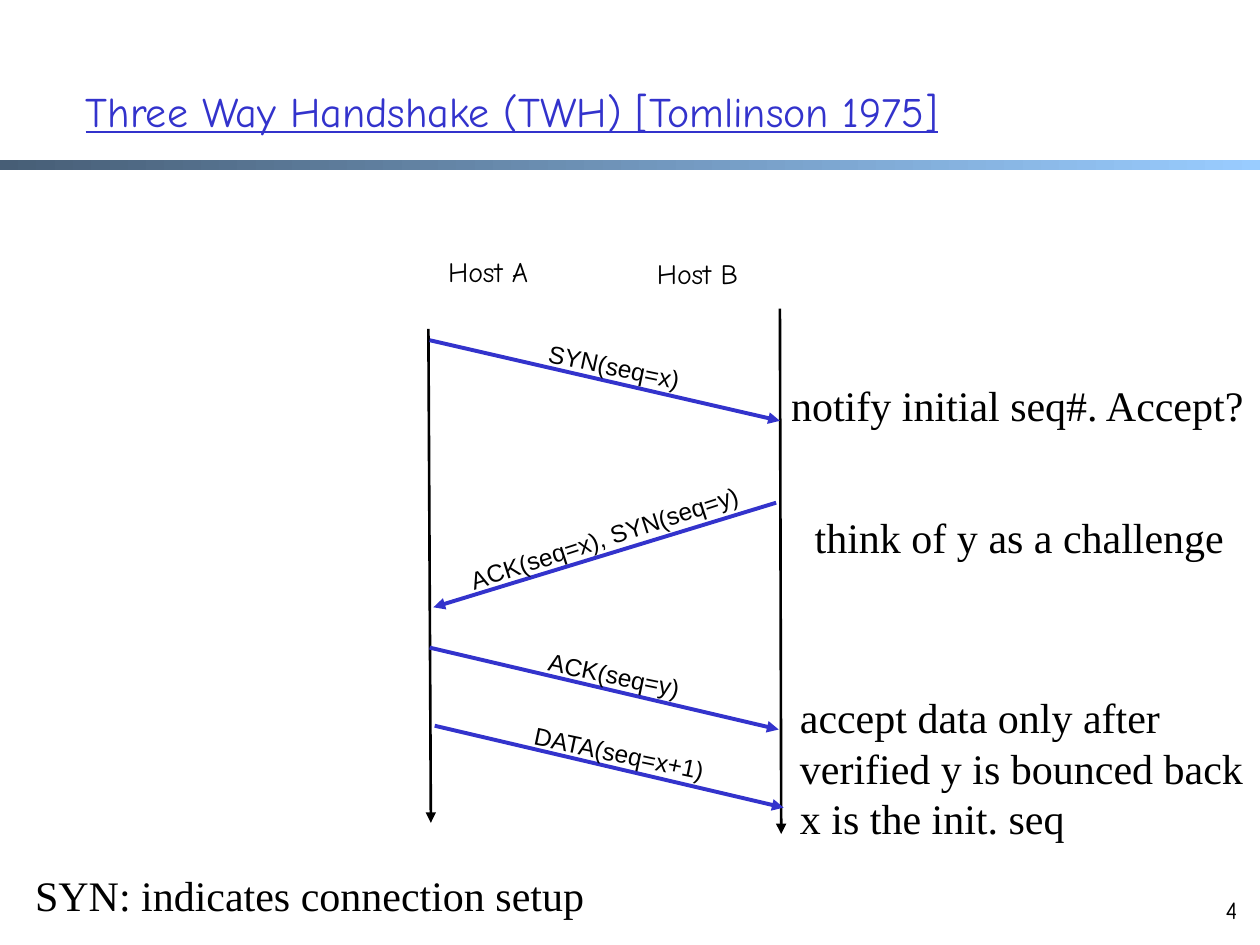
import pptx
import pptx.util
import pptx.dml.color
import pptx.enum.shapes
import pptx.enum.text
import pptx.oxml
import pptx.oxml.ns

Inches = pptx.util.Inches
Pt = pptx.util.Pt
ALIGN = pptx.enum.text.PP_ALIGN
COLORS = {"blue": "3333CC", "black": "000000", "bar_dark": "475E76", "bar_light": "99CCFF"}
HAND, SANS, SERIF = "Comic Neue", "Arial", "Times New Roman"


def rgb(name):
    return pptx.dml.color.RGBColor.from_string(COLORS[name])


def add_run(p, text, font, size, color="black"):
    r = p.add_run()
    r.text = text
    r.font.name = font
    r.font.size = Pt(size)
    r.font.color.rgb = rgb(color)
    return r


def add_title(s, text):
    sp = s.shapes.title
    sp.left, sp.top, sp.width, sp.height = map(Inches, (0.58, 0.25, 8.77, 1.25))
    tf = sp.text_frame
    tf.auto_size = pptx.enum.text.MSO_AUTO_SIZE.NONE
    tf.vertical_anchor = pptx.enum.text.MSO_ANCHOR.MIDDLE
    p = tf.paragraphs[0]
    p.alignment = ALIGN.LEFT
    add_run(p, text, HAND, 24, "blue").font.underline = True


def add_bar(s):
    sp = s.shapes.add_shape(pptx.enum.shapes.MSO_SHAPE.RECTANGLE,
                            0, Inches(1.27), Inches(10), Inches(0.08))
    sp.shadow.inherit = False
    sp.line.fill.background()
    sp.fill.gradient()
    sp.fill.gradient_angle = 0
    for stop, name, position in zip(sp.fill.gradient_stops, ("bar_dark", "bar_light"), (0, 1)):
        stop.color.rgb = rgb(name)
        stop.position = position


def add_text(shapes, box, lines, font, size, align=ALIGN.LEFT, wrap=False, rotation=0):
    sp = shapes.add_textbox(*map(Inches, box))
    sp.rotation = rotation
    tf = sp.text_frame
    tf.word_wrap = wrap
    for i, line in enumerate(lines):
        p = tf.add_paragraph() if i else tf.paragraphs[0]
        p.alignment = align
        add_run(p, line, font, size)


def add_arrow(shapes, start, end, color, width):
    ends = map(Inches, (*start, *end))
    cxn = shapes.add_connector(pptx.enum.shapes.MSO_CONNECTOR.STRAIGHT, *ends)
    cxn.line.color.rgb = rgb(color)
    cxn.line.width = Pt(width)
    ln = cxn.line._get_or_add_ln()
    tail = pptx.oxml.parse_xml(f'<a:tailEnd {pptx.oxml.ns.nsdecls("a")} type="triangle"/>')
    ln.append(tail)
    effects = pptx.oxml.parse_xml(f'<a:effectLst {pptx.oxml.ns.nsdecls("a")}/>')
    ln.addnext(effects)


def add_message(s, start, end, text, box, rotation=11.8, wrap=False):
    """Group one protocol message: its arrow and the label along it."""
    group = s.shapes.add_group_shape()
    add_arrow(group.shapes, start, end, "blue", 2.25)
    add_text(group.shapes, box, [text], SANS, 14, ALIGN.CENTER, wrap, rotation)


def main():
    prs = pptx.Presentation()
    prs.slide_width, prs.slide_height = Inches(10), Inches(7.5)
    s = prs.slides.add_slide(prs.slide_layouts[5])

    add_bar(s)
    add_title(s, "Three Way Handshake (TWH) [Tomlinson 1975]")

    hosts = [
        ("Host A", (3.41, 1.97, 0.93, 0.37), (3.4, 2.61), (3.42, 6.53)),
        ("Host B", (5.08, 1.99, 0.91, 0.37), (6.19, 2.45), (6.2, 6.62)),
    ]
    for name, box, start, end in hosts:
        add_text(s.shapes, box, [name], HAND, 16, ALIGN.CENTER)
        add_arrow(s.shapes, start, end, "black", 1.5)

    add_message(s, (3.41, 2.7), (6.19, 3.34), "SYN(seq=x)", (4.2, 2.74, 1.35, 0.33))
    add_message(s, (6.16, 3.99), (3.44, 4.82), "ACK(seq=x), SYN(seq=y)",
                (3.3, 4.1, 2.99, 0.33), rotation=342, wrap=True)
    add_message(s, (3.41, 5.14), (6.18, 5.79), "ACK(seq=y)", (4.2, 5.19, 1.35, 0.33))
    add_message(s, (3.45, 5.76), (6.22, 6.41), "DATA(seq=x+1)", (4.07, 5.81, 1.69, 0.33))

    add_text(s.shapes, (0.18, 6.85, 4.56, 0.5), ["SYN: indicates connection setup"], SERIF, 24)
    add_text(s.shapes, (6.25, 5.44, 3.75, 1.31),
             ["accept data only after", "verified y is bounced back", "x is the init. seq"],
             SERIF, 24)
    add_text(s.shapes, (6.18, 2.96, 3.82, 0.51), ["notify initial seq#. Accept?"], SERIF, 24)
    add_text(s.shapes, (6.18, 4.01, 3.82, 0.51), ["think of y as a challenge"],
             SERIF, 24, ALIGN.CENTER, wrap=True)
    add_text(s.shapes, (9.46, 7.05, 0.46, 0.38), ["4"], HAND, 14, ALIGN.RIGHT, wrap=True)

    prs.save("out.pptx")


if __name__ == "__main__":
    main()
